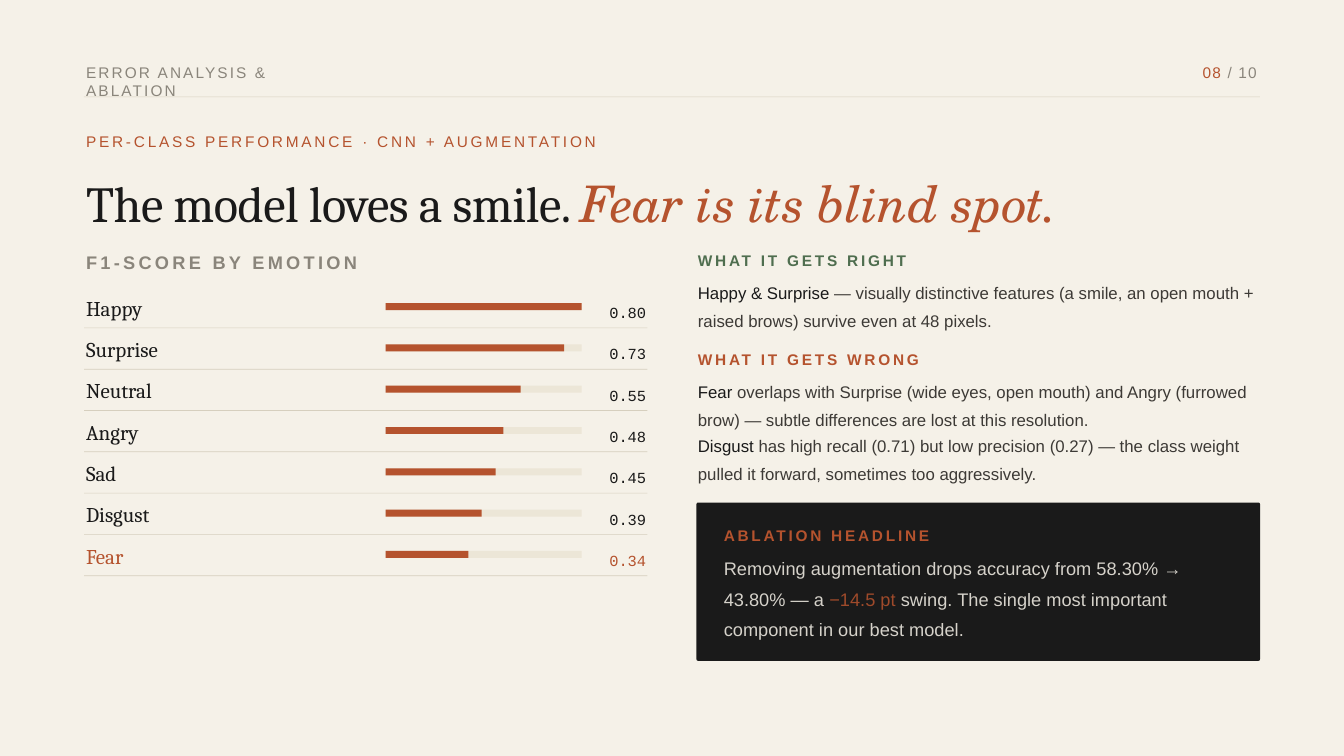
import pptx
import pptx.dml.color
import pptx.enum.shapes
import pptx.enum.text
import pptx.util
from lxml import etree

PX = 9525
INK, PAPER, RUST, GREEN = "1A1A1A", "F5F1E8", "B5532E", "4F6E4F"
MUTED, BODY, RULE, TRACK = "8A857B", "3D3A36", "D6CFBE", "ECE6D7"
SANS, SERIF, ITALIC, MONO = "Arial", "Cambria", "TeX Gyre Schola", "Courier New"
RECTANGLE = pptx.enum.shapes.MSO_SHAPE.RECTANGLE
ROUNDED = pptx.enum.shapes.MSO_SHAPE.ROUNDED_RECTANGLE
color = pptx.dml.color.RGBColor.from_string

prs = pptx.Presentation()
prs.slide_width, prs.slide_height = 1920 * PX, 1080 * PX
slide = prs.slides.add_slide(prs.slide_layouts[6])
slide.background.fill.solid()
slide.background.fill.fore_color.rgb = color(PAPER)


def block(left, top, width, height, fill, kind=RECTANGLE):
    shape = slide.shapes.add_shape(kind, left * PX, top * PX, width * PX, height * PX)
    shape.shadow.inherit = False
    shape.fill.solid()
    shape.fill.fore_color.rgb = color(fill)
    shape.line.fill.background()
    return shape


def text(left, top, width, height, parts, size, leading, font=SANS, bold=False, tracking=0):
    """Add one paragraph made of (wording, colour) parts; return the paragraph."""
    frame = slide.shapes.add_textbox(left * PX, top * PX, width * PX, height * PX).text_frame
    frame.word_wrap = True
    frame.margin_left = frame.margin_top = frame.margin_right = frame.margin_bottom = 0
    paragraph = frame.paragraphs[0]
    paragraph.line_spacing = pptx.util.Pt(leading)
    paragraph.font.size = pptx.util.Pt(size)
    paragraph.font.name = font
    paragraph.font.bold = bold
    if len(parts) == 1:
        paragraph.font.color.rgb = color(parts[0][1])
    for wording, ink in parts:
        run = paragraph.add_run()
        run.text = wording
        if len(parts) > 1:
            run.font.color.rgb = color(ink)
        if tracking:
            run._r.get_or_add_rPr().set("spc", str(round(tracking * 100)))
    return paragraph


# Header
block(120, 138, 1680, 1, RULE)
text(123, 90, 395, 29, [("ERROR ANALYSIS & ABLATION", MUTED)], 16.5, 19.8, tracking=2.3)
text(1718, 90, 86, 29, [("08 ", RUST), ("/ 10", MUTED)], 16.5, 19.8, tracking=1.3)
text(123, 188, 1725, 29, [("PER-CLASS PERFORMANCE · CNN + AUGMENTATION", RUST)],
     16.5, 19.8, tracking=3)
title = text(123, 244, 1725, 76,
             [("The model loves a smile. ", INK), ("Fear is its blind spot.", RUST)],
             54, 66.1, SERIF, tracking=-0.5)
title.runs[1].font.name = ITALIC
title.runs[1].font.italic = True

# F1 score of each emotion, in hundredths
text(123, 359, 824, 35, [("F1-SCORE BY EMOTION", MUTED)], 19.5, 23.4, bold=True, tracking=3.5)
scores = [("Happy", 80), ("Surprise", 73), ("Neutral", 55), ("Angry", 48),
          ("Sad", 45), ("Disgust", 39), ("Fear", 34)]
best = max(score for _, score in scores)
for row, (emotion, score) in enumerate(scores):
    top = 422 + 59 * row
    ink = RUST if emotion == "Fear" else INK
    percent = round(score / best * 100)
    block(120, top + 46, 805, 1, RULE)
    text(123, top, 414, 35, [(emotion, ink)], 22.5, 27, SERIF)
    block(551, top + 11, 280, 10, TRACK)
    block(551, top + 11, round(280 * percent / 100), 10, RUST)
    value = text(850, top + 11, 73, 24, [(f"{score / 100:.2f}", ink)], 16.5, 19.8, MONO)
    value.alignment = pptx.enum.text.PP_ALIGN.RIGHT

# Findings
for top, heading, ink in [(359, "WHAT IT GETS RIGHT", GREEN), (500, "WHAT IT GETS WRONG", RUST)]:
    text(997, top, 824, 29, [(heading, ink)], 16.5, 19.8, bold=True, tracking=3)
findings = [
    (392, "Happy & Surprise ", "— visually distinctive features (a smile, an open mouth + "
     "raised brows) survive even at 48 pixels."),
    (534, "Fear ", "overlaps with Surprise (wide eyes, open mouth) and Angry (furrowed brow) "
     "— subtle differences are lost at this resolution."),
    (611, "Disgust ", "has high recall (0.71) but low precision (0.27) — the class weight "
     "pulled it forward, sometimes too aggressively."),
]
for top, emotion, finding in findings:
    text(997, top, 824, 77, [(emotion, INK), (finding, BODY)], 18, 30.2)

# Ablation panel
panel = block(995, 718, 805, 226, INK, ROUNDED)
panel.adjustments[0] = 0.01
text(1034, 751, 750, 29, [("ABLATION HEADLINE", RUST)], 16.5, 19.8, bold=True, tracking=3)
headline = text(1034, 784, 750, 119, [
    ("Removing augmentation drops accuracy from 58.30% → 43.80% — a ", PAPER),
    ("−14.5 pt ", RUST),
    ("swing. The single most important component in our best model.", PAPER),
], 19.5, 32.8)
drawing = "{http://schemas.openxmlformats.org/drawingml/2006/main}"
for ink in headline._p.iter(drawing + "srgbClr"):
    etree.SubElement(ink, drawing + "alpha", val="85000")

prs.save("out.pptx")
